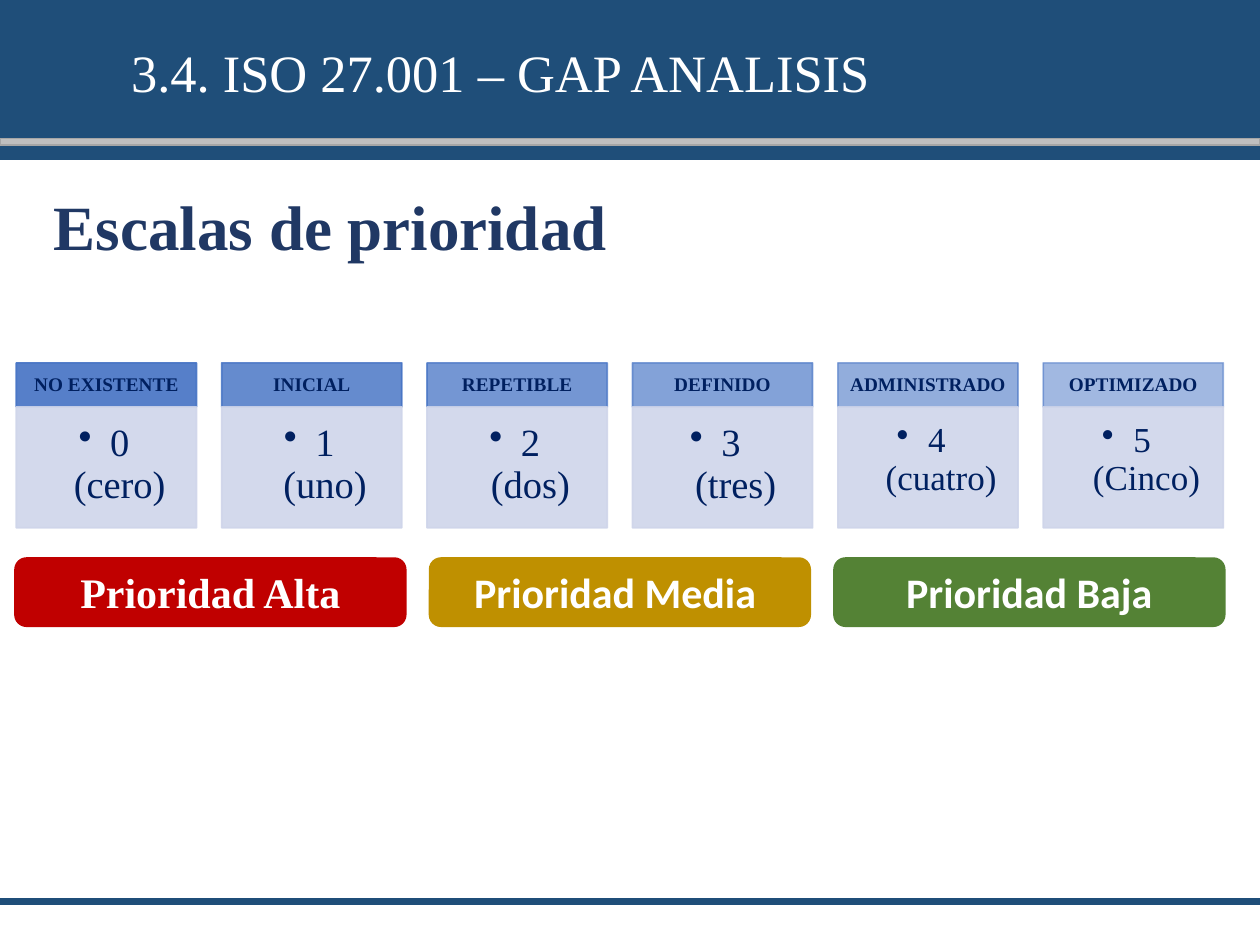
from dataclasses import dataclass

from lxml import etree
from pptx import Presentation
from pptx.dml.color import RGBColor
from pptx.enum import shapes, text
from pptx.oxml.ns import qn
from pptx.util import Inches, Pt


@dataclass(frozen=True)
class Theme:
    serif: str = "Times New Roman"
    sans: str = "Calibri"
    band: str = "1F4E79"
    rule: str = "BFBFBF"
    rule_edge: str = "A6A6A6"
    white: str = "FFFFFF"
    heading: str = "203864"
    ink: str = "002060"
    level: str = "4472C4"
    score: str = "CFD5EA"
    high: str = "C00000"
    medium: str = "BF9000"
    low: str = "548235"
    title_size: int = 30
    heading_size: int = 36
    level_size: int = 11
    priority_size: int = 24


theme = Theme()
prs = Presentation()
prs.slide_width, prs.slide_height = Inches(10), Inches(7.5)
slide = prs.slides.add_slide(prs.slide_layouts[6])


def add_block(kind, left, top, width, height, fill, edge=None, opacity=100):
    """Add a filled shape; opacity, in percent, applies to fill and line."""
    block = slide.shapes.add_shape(
        kind, Inches(left), Inches(top), Inches(width), Inches(height))
    block.shadow.inherit = False
    block.fill.solid()
    block.fill.fore_color.rgb = RGBColor.from_string(fill)
    block.line.color.rgb = RGBColor.from_string(edge or fill)
    block.line.width = Pt(1)
    if opacity < 100:
        for color in block._element.spPr.iter(qn("a:srgbClr")):
            etree.SubElement(color, qn("a:alpha"), val=str(opacity * 1000))
    return block


def write(holder, words, size, color, font=theme.serif, bold=False, align=None,
          anchor=text.MSO_ANCHOR.TOP, insets=(0.1, 0.05, 0.1, 0.05)):
    """Set one paragraph of text; insets run left, top, right, bottom."""
    frame = holder.text_frame
    frame.word_wrap = True
    frame.vertical_anchor = anchor
    (frame.margin_left, frame.margin_top,
     frame.margin_right, frame.margin_bottom) = map(Inches, insets)
    paragraph = frame.paragraphs[0]
    paragraph.text = words
    paragraph.alignment = align
    paragraph.font.name = font
    paragraph.font.size = Pt(size)
    paragraph.font.bold = bold
    paragraph.font.color.rgb = RGBColor.from_string(color)
    return paragraph


rectangle = shapes.MSO_SHAPE.RECTANGLE
rounded = shapes.MSO_SHAPE.ROUNDED_RECTANGLE
center = text.PP_ALIGN.CENTER
middle = text.MSO_ANCHOR.MIDDLE

# Header and footer bands
add_block(rectangle, 0, 0, 10, 1.26, theme.band)
add_block(rectangle, 0, 1.1, 10, 0.05, theme.rule, theme.rule_edge)
add_block(rectangle, 0, 7.13, 10, 0.05, theme.band)

title = slide.shapes.add_textbox(Inches(0.92), Inches(0.26), Inches(8.5), Inches(0.58))
title_line = write(title, "3.4. ISO 27.001 – GAP ANALISIS", theme.title_size,
                   theme.white, insets=(0.12, 0.06, 0.12, 0.06))
title_line.space_before = Pt(6)

heading = slide.shapes.add_textbox(Inches(0.33), Inches(1.44), Inches(6.21), Inches(0.71))
write(heading, "Escalas de prioridad", theme.heading_size, theme.heading, bold=True)

# Maturity levels: a name above its score, fading from left to right
levels = [
    ("NO EXISTENTE", "0 (cero)", 22),
    ("INICIAL", "1 (uno)", 22),
    ("REPETIBLE", "2\v(dos)", 22),
    ("DEFINIDO", "3 \v(tres)", 22),
    ("ADMINISTRADO", "4 \v(cuatro)", 20),
    ("OPTIMIZADO", "5 \v(Cinco)", 20),
]
for column, (name, score, score_size) in enumerate(levels):
    left = 0.13 + 1.63 * column
    name_box = add_block(rectangle, left, 2.88, 1.43, 0.35, theme.level,
                         opacity=90 - 8 * column)
    name_line = write(name_box, name, theme.level_size, theme.ink, bold=True,
                      align=center, anchor=middle, insets=(0.09, 0.05, 0.09, 0.05))
    name_line.line_spacing = 0.9

    score_box = add_block(rectangle, left, 3.23, 1.43, 0.96, theme.score, opacity=90)
    inset = 0.13 if score_size == 22 else 0.12
    score_line = write(score_box, score, score_size, theme.ink, align=center,
                       insets=(inset, inset, inset + 0.04, inset + 0.06))
    score_line.line_spacing = 0.9
    properties = score_line._p.get_or_add_pPr()
    properties.set("marL", str(Inches(0.25)))
    properties.set("indent", str(-Inches(0.25)))
    bullet = etree.Element(qn("a:buChar"), char="•")
    properties.find(qn("a:defRPr")).addprevious(bullet)

# Priority of each pair of levels
priorities = [
    ("Prioridad Alta", 0.12, 3.1, theme.high, theme.serif),
    ("Prioridad Media ", 3.41, 3.02, theme.medium, theme.sans),
    ("Prioridad Baja", 6.62, 3.1, theme.low, theme.sans),
]
for label, left, width, color, font in priorities:
    priority = add_block(rounded, left, 4.43, width, 0.54, color)
    write(priority, label, theme.priority_size, theme.white, font, bold=True,
          align=center, anchor=middle)

prs.save("out.pptx")
